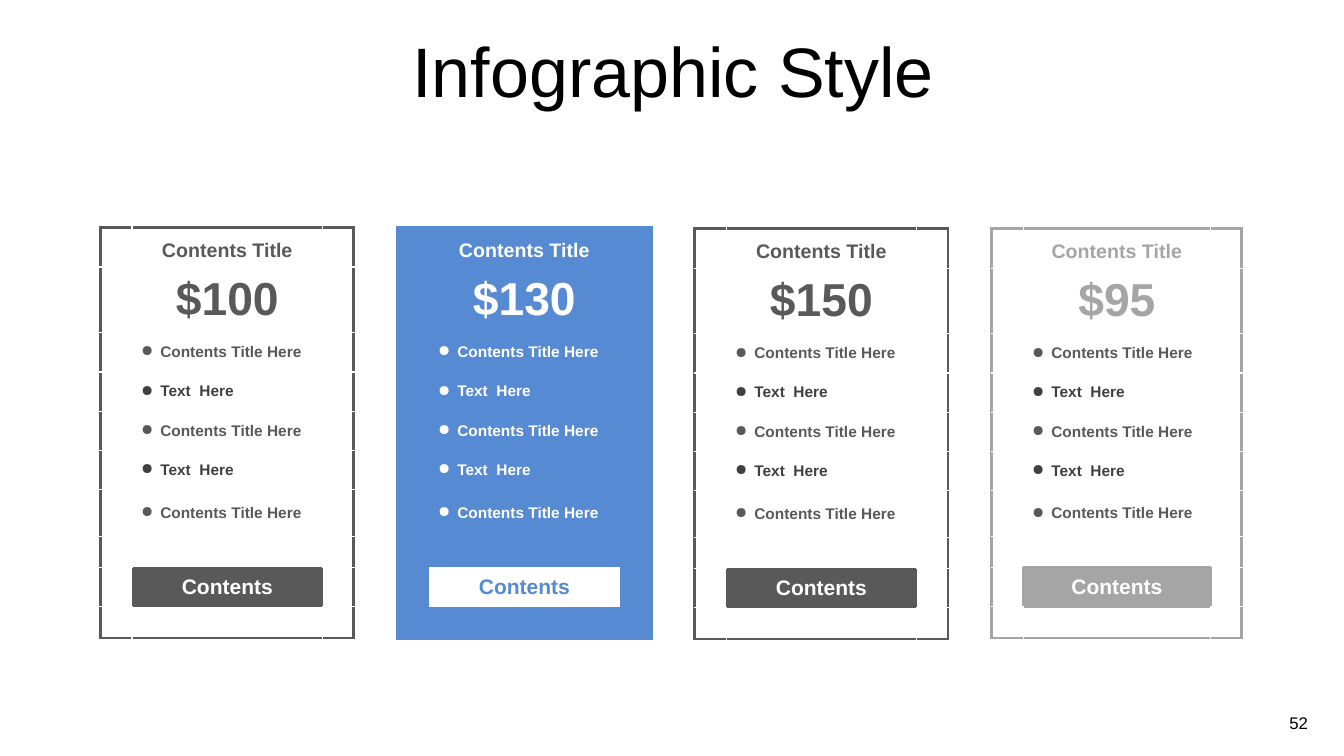
import dataclasses
import lxml.etree
import pptx
import pptx.dml.color
import pptx.enum.text
import pptx.oxml.ns
import pptx.util

RGBColor = pptx.dml.color.RGBColor
ALIGN = pptx.enum.text.PP_ALIGN
ANCHOR = pptx.enum.text.MSO_ANCHOR
qn = pptx.oxml.ns.qn

BLACK = RGBColor(0x00, 0x00, 0x00)
WHITE = RGBColor(0xFF, 0xFF, 0xFF)
BLUE = RGBColor(0x56, 0x8A, 0xD3)
CHARCOAL = RGBColor(0x40, 0x40, 0x40)
DARK = RGBColor(0x59, 0x59, 0x59)
GREY = RGBColor(0xA5, 0xA5, 0xA5)

FONT = "Arial"
SLIDE_WIDTH = pptx.util.Inches(13.33)
SLIDE_HEIGHT = pptx.util.Inches(7.5)

# Card grid: margins in inches, position in percent of the slide
CARD_LEFT, CARD_STEP = 7.5, 22.1
SIDE_COLUMN = 0.31
ITEM_ROW = 0.39
ITEMS = ["Contents Title Here", "Text  Here"] * 2 + ["Contents Title Here"]
BUTTON_ROW, LAST_ROW, LAST_COLUMN = 8, 9, 2


@dataclasses.dataclass
class Card:
    price: str
    top: float
    accent: RGBColor
    text: RGBColor
    items: tuple = (DARK, CHARCOAL)
    fill: RGBColor = WHITE
    button: RGBColor = DARK
    button_text: RGBColor = WHITE
    button_line: tuple = None
    inner_line: tuple = (WHITE, 1)
    outline_width: float = 2.25
    middle_column: float = 1.89
    last_item_row: float = 0.46


CARDS = [
    Card("$100", 30.13, DARK, DARK),
    Card("$130", 30.13, BLUE, WHITE, items=(WHITE, WHITE), fill=BLUE, button=WHITE,
         button_text=BLUE, inner_line=None, outline_width=3),
    Card("$150", 30.27, DARK, DARK),
    Card("$95", 30.27, GREY, GREY, button=GREY, button_line=(GREY, 2.25),
         middle_column=1.86, last_item_row=0.45),
]


def across(percent):
    return round(SLIDE_WIDTH * percent / 100)


def down(percent):
    return round(SLIDE_HEIGHT * percent / 100)


def add_run(paragraph, text, size, color, bold=False):
    run = paragraph.add_run()
    run.text = text
    run.font.name = FONT
    run.font.size = pptx.util.Pt(size)
    run.font.bold = bold
    run.font.color.rgb = color


def add_text(slide, box, text, size, wrap=True):
    left, top, width, height = box
    shape = slide.shapes.add_textbox(across(left), down(top), across(width), down(height))
    frame = shape.text_frame
    frame.word_wrap = wrap
    add_run(frame.paragraphs[0], text, size, BLACK)
    return frame


def add_bullet(paragraph):
    indent = pptx.util.Inches(0.19)
    properties = paragraph._p.get_or_add_pPr()
    properties.set("marL", str(indent))
    properties.set("indent", str(-indent))
    lxml.etree.SubElement(properties, qn("a:buChar")).set("char", "●")


def set_border(cell, side, line):
    properties = cell._tc.get_or_add_tcPr()
    border = lxml.etree.SubElement(properties, qn("a:ln" + side))
    if line is None:
        lxml.etree.SubElement(border, qn("a:noFill"))
        return
    color, width = line
    border.set("w", str(pptx.util.Pt(width)))
    solid = lxml.etree.SubElement(border, qn("a:solidFill"))
    lxml.etree.SubElement(solid, qn("a:srgbClr")).set("val", str(color))


def border_line(card, row, column, side):
    outer = {"L": column == 0, "R": column == LAST_COLUMN,
             "T": row == 0, "B": row == LAST_ROW}
    if outer[side]:
        return card.accent, card.outline_width
    row_step, column_step = {"L": (0, -1), "R": (0, 1), "T": (-1, 0), "B": (1, 0)}[side]
    neighbour = (row + row_step, column + column_step)
    if (BUTTON_ROW, 1) in ((row, column), neighbour):
        return card.button_line
    return card.inner_line


def style_cell(cell, card, row, column):
    # Borders come before the fill in the cell properties
    for side in "LRTB":
        set_border(cell, side, border_line(card, row, column, side))
    cell.fill.solid()
    is_button = (row, column) == (BUTTON_ROW, 1)
    cell.fill.fore_color.rgb = card.button if is_button else card.fill
    cell.margin_left = cell.margin_right = pptx.util.Inches(0.09)
    cell.margin_top = cell.margin_bottom = pptx.util.Inches(0.05)
    cell.vertical_anchor = ANCHOR.BOTTOM if row == 0 else ANCHOR.MIDDLE


def fill_cell(cell, content):
    paragraph = cell.text_frame.paragraphs[0]
    if content is None:
        # Small type keeps empty cells from stretching their row
        lxml.etree.SubElement(paragraph._p, qn("a:endParaRPr")).set("sz", "1100")
        return
    text, size, color, bulleted = content
    if bulleted:
        add_bullet(paragraph)
    else:
        paragraph.alignment = ALIGN.CENTER
    add_run(paragraph, text, size, color, bold=True)


def add_card(slide, index, card):
    columns = [SIDE_COLUMN, card.middle_column, SIDE_COLUMN]
    rows = [ITEM_ROW, 0.65] + [ITEM_ROW] * 4 + [card.last_item_row, 0.31, ITEM_ROW, 0.31]
    frame = slide.shapes.add_table(
        len(rows), len(columns), across(CARD_LEFT + index * CARD_STEP), down(card.top),
        pptx.util.Inches(sum(columns)), pptx.util.Inches(sum(rows)))
    table = frame.table
    table.first_row = table.horz_banding = False
    for column, width in zip(table.columns, columns):
        column.width = pptx.util.Inches(width)
    for row, height in zip(table.rows, rows):
        row.height = pptx.util.Inches(height)

    contents = [("Contents Title", 14, card.text, False), (card.price, 33, card.text, False)]
    contents += [(item, 11, card.items[number % 2], True) for number, item in enumerate(ITEMS)]
    contents += [None, ("Contents", 15, card.button_text, False), None]
    for row, content in enumerate(contents):
        for column in range(len(columns)):
            cell = table.cell(row, column)
            style_cell(cell, card, row, column)
            fill_cell(cell, content if column == 1 else None)


def main():
    presentation = pptx.Presentation()
    presentation.slide_width = SLIDE_WIDTH
    presentation.slide_height = SLIDE_HEIGHT
    slide = presentation.slides.add_slide(presentation.slide_layouts[6])

    # Title
    title = add_text(slide, (2.63, 4.93, 94.97, 10.53), "Infographic Style", 50)
    title.margin_top = pptx.util.Inches(0.1)
    title.vertical_anchor = ANCHOR.MIDDLE
    title.paragraphs[0].alignment = ALIGN.CENTER
    title.paragraphs[0].line_spacing = 0.7

    # Price cards
    for index, card in enumerate(CARDS):
        add_card(slide, index, card)

    # Slide number
    add_text(slide, (95.2, 93.6, 3.08, 4), "52", 12, wrap=False)

    presentation.save("out.pptx")


if __name__ == "__main__":
    main()
